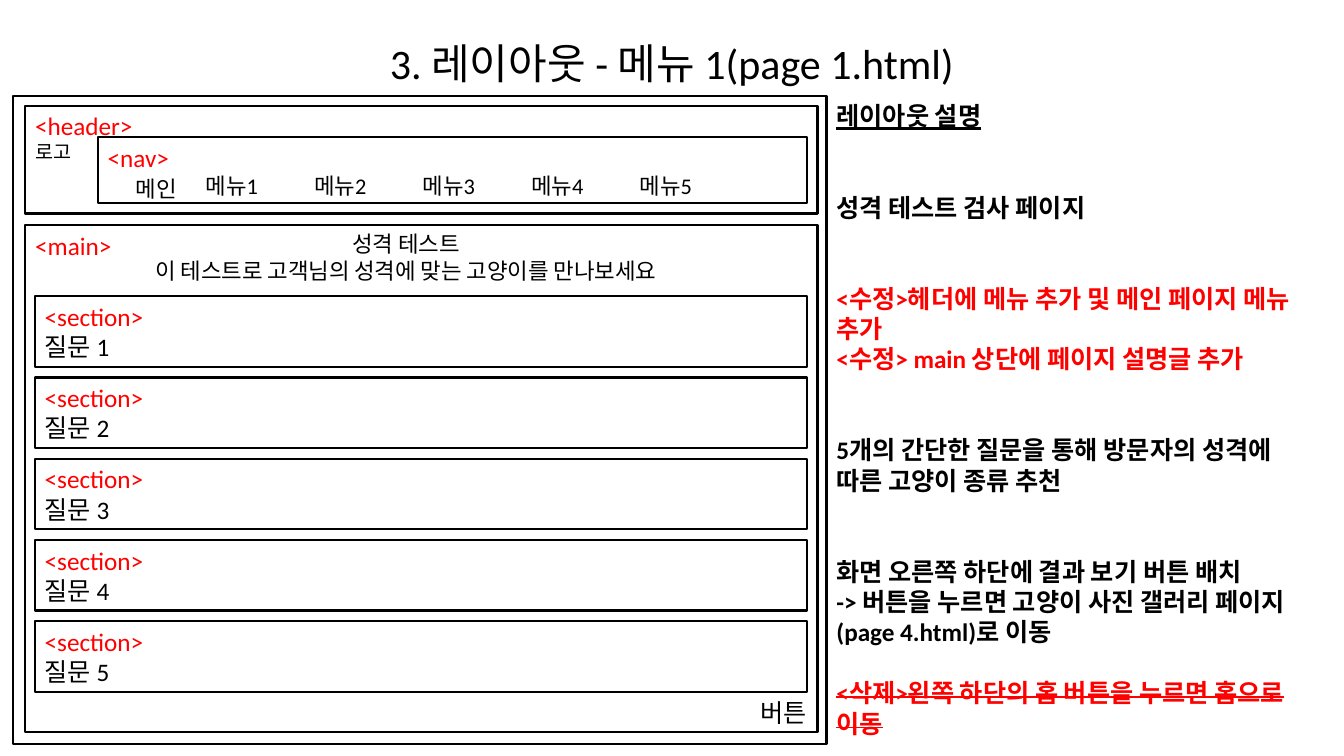
from lxml.etree import SubElement
from pptx import Presentation
from pptx.dml.color import RGBColor
from pptx.enum.shapes import MSO_SHAPE
from pptx.enum.text import MSO_ANCHOR, PP_ALIGN
from pptx.oxml.ns import qn
from pptx.util import Pt

BLACK = RGBColor(0, 0, 0)
RED = RGBColor(255, 0, 0)
WHITE = RGBColor(255, 255, 255)
LATIN_FONT = "Calibri"
KOREAN_FONT = "Noto Sans CJK KR"

SECTION_COUNT = 5
SECTION_TOP, SECTION_PITCH = 211.7, 58
MENU_COUNT = 5
MENU_START, MENU_PITCH = 70, 77.5

# text, colour, space before, extra style
NOTES = [
    ("레이아웃 설명", BLACK, 0, "underline"),
    ("성격 테스트 검사 페이지", BLACK, 43.5, None),
    ("<수정>헤더에 메뉴 추가 및 메인 페이지 메뉴 추가", RED, 43.5, None),
    ("<수정> main 상단에 페이지 설명글 추가", RED, 0, None),
    ("5개의 간단한 질문을 통해 방문자의 성격에 따른 고양이 종류 추천", BLACK, 43.5, None),
    ("화면 오른쪽 하단에 결과 보기 버튼 배치", BLACK, 43.5, None),
    ("-> 버튼을 누르면 고양이 사진 갤러리 페이지(page 4.html)로 이동", BLACK, 0, None),
    ("<삭제>왼쪽 하단의 홈 버튼을 누르면 홈으로 이동", RED, 22, "strike"),
]


def add_run(para, text, size=18, color=BLACK, font=LATIN_FONT):
    span = para.add_run()
    span.text = text
    span.font.size = Pt(size)
    span.font.name = font
    span.font.color.rgb = color
    properties = span.font._element
    properties.set("lang", "ko-KR")
    SubElement(properties, qn("a:ea")).set("typeface", LATIN_FONT)
    return span


def next_para(frame, align=PP_ALIGN.LEFT):
    """Return the first paragraph while it is empty, otherwise a new one."""
    para = frame.paragraphs[0]
    if para.runs:
        para = frame.add_paragraph()
    para.alignment = align
    return para


def add_text_box(page, left, top, width, height):
    box = page.shapes.add_textbox(Pt(left), Pt(top), Pt(width), Pt(height))
    box.text_frame.word_wrap = True
    return box.text_frame


def add_label(page, text, left, top, width, height, size=18,
              align=PP_ALIGN.LEFT, font=LATIN_FONT):
    frame = add_text_box(page, left, top, width, height)
    add_run(next_para(frame, align), text, size, font=font)
    return frame


def add_frame(page, left, top, width, height, tag=None):
    """Draw an outlined block, with its HTML tag in the upper left corner."""
    block = page.shapes.add_shape(
        MSO_SHAPE.RECTANGLE, Pt(left), Pt(top), Pt(width), Pt(height))
    block.shadow.inherit = False
    block.fill.solid()
    block.fill.fore_color.rgb = WHITE
    block.line.color.rgb = BLACK
    block.line.width = Pt(1.5)
    frame = block.text_frame
    frame.word_wrap = True
    frame.vertical_anchor = MSO_ANCHOR.TOP
    if tag:
        add_run(next_para(frame), tag, color=RED)
    return frame


def add_header(page):
    add_frame(page, 18, 75.6, 566, 77, "<header>")
    add_label(page, "로고", 18, 96.5, 52.5, 28, 14)
    nav = add_frame(page, 69.8, 97.9, 506.5, 47.2, "<nav>")
    para = next_para(nav)
    tab_list = SubElement(para._p.get_or_add_pPr(), qn("a:tabLst"))
    for index in range(MENU_COUNT):
        tab = SubElement(tab_list, qn("a:tab"))
        tab.set("pos", str(Pt(MENU_START + index * MENU_PITCH)))
        tab.set("algn", "l")
        add_run(para, f"\t메뉴{index + 1}", 16)
    add_label(page, "메인", 90, 121.7, 75, 26.6, 16, font=KOREAN_FONT)


def add_main(page):
    add_frame(page, 18, 160.6, 566, 362, "<main>")
    intro = add_label(page, "성격 테스트", 80, 160.6, 420, 45, 16,
                      PP_ALIGN.CENTER, KOREAN_FONT)
    add_run(next_para(intro, PP_ALIGN.CENTER),
            "이 테스트로 고객님의 성격에 맞는 고양이를 만나보세요",
            16, font=KOREAN_FONT)
    for index in range(SECTION_COUNT):
        section = add_frame(page, 24.8, SECTION_TOP + index * SECTION_PITCH,
                            551.5, 50.4, "<section>")
        add_run(next_para(section), f"질문 {index + 1}")
    add_label(page, "버튼", 438.5, 494.6, 144.7, 29, align=PP_ALIGN.RIGHT)


def add_notes(page):
    frame = add_text_box(page, 590.4, 68.4, 353, 470)
    for text, color, space, style in NOTES:
        para = next_para(frame)
        para.space_before = Pt(space)
        span = add_run(para, text, color=color)
        span.font.bold = True
        if style == "underline":
            span.font.underline = True
        elif style == "strike":
            span.font._element.set("strike", "sngStrike")


def main():
    deck = Presentation()
    deck.slide_width, deck.slide_height = Pt(960), Pt(540)
    page = deck.slides.add_slide(deck.slide_layouts[6])
    title = add_label(page, "3. 레이아웃 - 메뉴 1(page 1.html)", 48, 0, 864, 90,
                      30, PP_ALIGN.CENTER)
    title.vertical_anchor = MSO_ANCHOR.MIDDLE
    add_frame(page, 9.4, 68.4, 581, 463)
    add_header(page)
    add_main(page)
    add_notes(page)
    deck.save("out.pptx")


if __name__ == "__main__":
    main()
